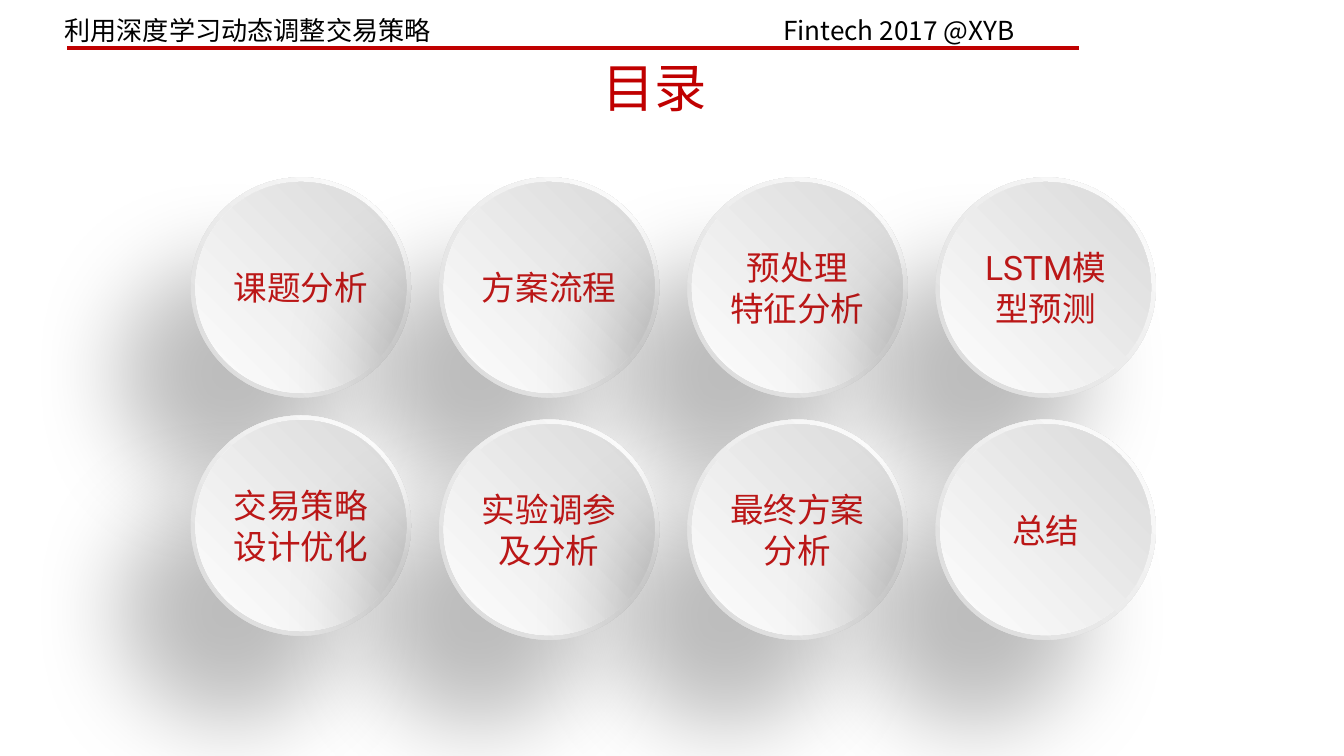
"""Build a contents slide with a header rule and eight round agenda buttons."""
import pptx
import pptx.dml.color
import pptx.enum.shapes
import pptx.enum.text
import pptx.oxml
import pptx.oxml.ns
import pptx.util

Pt = pptx.util.Pt
SHAPES = pptx.enum.shapes.MSO_SHAPE
ALIGN = pptx.enum.text.PP_ALIGN
ANCHOR = pptx.enum.text.MSO_ANCHOR
NAMESPACE = pptx.oxml.ns.nsdecls("a")
COLORS = {"red": "C00000", "label": "BB1717", "black": "000000",
          "white": "FFFFFF", "gray": "D9D9D9", "light": "FEFEFE"}
SANS = "Noto Sans CJK SC"


def write_text(paragraph, text, font=SANS, size=14, color="black", align=ALIGN.LEFT):
    paragraph.alignment = align
    run = paragraph.add_run()
    run.text = text
    run.font.size = Pt(size)
    run.font.name = font
    run.font.color.rgb = pptx.dml.color.RGBColor.from_string(COLORS[color])
    run.font._element.append(pptx.oxml.parse_xml(f'<a:ea {NAMESPACE} typeface="{font}"/>'))


def add_disc(group, left, top, diameter, start, end):
    disc = group.shapes.add_shape(SHAPES.OVAL, Pt(left), Pt(top), Pt(diameter), Pt(diameter))
    disc.shadow.inherit = False
    disc.line.fill.background()
    disc.fill.gradient()
    for stop, color, position in zip(disc.fill.gradient_stops, (start, end), (0, 1)):
        stop.color.rgb = pptx.dml.color.RGBColor.from_string(COLORS[color])
        stop.position = position
    linear = disc._element.spPr.find(".//" + pptx.oxml.ns.qn("a:lin"))
    linear.getparent().replace(linear, pptx.oxml.parse_xml(
        f'<a:path {NAMESPACE} path="circle"><a:fillToRect l="100000" b="100000"/></a:path>'))
    return disc


presentation = pptx.Presentation()
presentation.slide_width = Pt(720)
presentation.slide_height = Pt(405)
slide = presentation.slides.add_slide(presentation.slide_layouts[6])

header = slide.shapes.add_textbox(Pt(27.4), Pt(4.3), Pt(584.6), Pt(24))
header.text_frame.word_wrap = True
header_paragraph = header.text_frame.paragraphs[0]
write_text(header_paragraph, "利用深度学习动态调整交易策略\t")
write_text(header_paragraph, "Fintech 2017 @XYB", font="Noto Sans CJK TC")
header_paragraph._p.get_or_add_pPr().append(pptx.oxml.parse_xml(
    f'<a:tabLst {NAMESPACE}><a:tab pos="{Pt(385)}" algn="l"/></a:tabLst>'))

rule = slide.shapes.add_connector(
    pptx.enum.shapes.MSO_CONNECTOR.STRAIGHT, Pt(36), Pt(25.7), Pt(578), Pt(25.7))
rule.line.width = Pt(2.25)
rule.line.color.rgb = pptx.dml.color.RGBColor.from_string(COLORS["red"])
rule._element.spPr.append(pptx.oxml.parse_xml(f"<a:effectLst {NAMESPACE}/>"))

title = slide.shapes.add_textbox(Pt(44.6), Pt(30.2), Pt(612), Pt(32.4))
title.text_frame.word_wrap = True
title.text_frame.vertical_anchor = ANCHOR.MIDDLE
write_text(title.text_frame.paragraphs[0], "目录", size=28, color="red", align=ALIGN.CENTER)

topics = ["课题分析", "方案流程", "预处理\n特征分析", "LSTM模型预测",
          "交易策略设计优化", "实验调参及分析", "最终方案分析", "总结"]
row_tops = [95] * 4 + [222.6] + [224.8] * 3
for index, (topic, top) in enumerate(zip(topics, row_tops)):
    left = 102.2 + 133 * (index % 4)
    button = slide.shapes.add_group_shape()
    rim = add_disc(button, left, top, 118, "white", "gray")
    rim._element.spPr.find(pptx.oxml.ns.qn("a:effectLst")).append(pptx.oxml.parse_xml(
        f'<a:outerShdw {NAMESPACE} blurRad="{Pt(50)}" dist="{Pt(60)}" dir="{130 * 60000}"'
        f' algn="ctr" rotWithShape="0"><a:srgbClr val="{COLORS["black"]}">'
        '<a:alpha val="25000"/></a:srgbClr></a:outerShdw>'))
    face = add_disc(button, left + 2.5, top + 2.5, 113, "gray", "light")
    frame = face.text_frame
    frame.word_wrap = True
    frame.margin_left = frame.margin_right = 0
    frame.vertical_anchor = ANCHOR.MIDDLE
    for number, line in enumerate(topic.split("\n")):
        paragraph = frame.add_paragraph() if number else frame.paragraphs[0]
        write_text(paragraph, line, font="Roboto", size=18, color="label", align=ALIGN.CENTER)

presentation.save("out.pptx")
